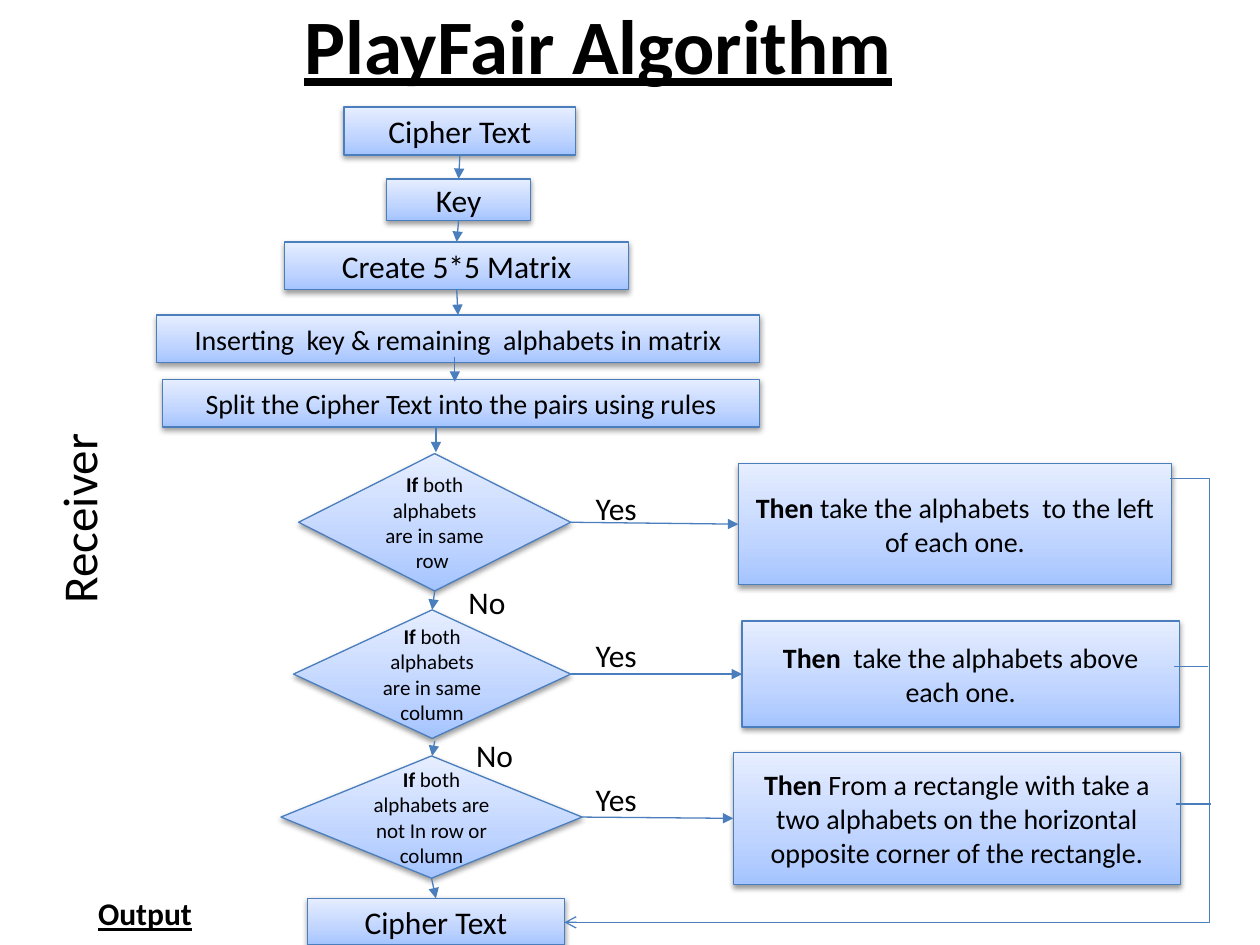
from lxml import etree
from pptx import Presentation
from pptx.dml.color import RGBColor
from pptx.enum.shapes import MSO_CONNECTOR, MSO_SHAPE
from pptx.enum.text import MSO_ANCHOR, MSO_AUTO_SIZE, PP_ALIGN
from pptx.oxml import parse_xml
from pptx.oxml.ns import nsdecls, qn
from pptx.util import Inches, Pt

RECT, DIAMOND = MSO_SHAPE.RECTANGLE, MSO_SHAPE.DIAMOND
STRAIGHT, ELBOW = MSO_CONNECTOR.STRAIGHT, MSO_CONNECTOR.ELBOW
CENTER, LEFT, MIDDLE, TOP = PP_ALIGN.CENTER, PP_ALIGN.LEFT, MSO_ANCHOR.MIDDLE, MSO_ANCHOR.TOP
FIT, NO_FIT = MSO_AUTO_SIZE.SHAPE_TO_FIT_TEXT, MSO_AUTO_SIZE.NONE
SITE_TOP, SITE_LEFT, SITE_BOTTOM, SITE_RIGHT = range(4)

COLORS = {"text": "000000", "line": "4B7EBC", "shadow": "000000",
          "deep": "A4C4FF", "mid": "BFD4FF", "pale": "E6EEFF"}
FONT = "Calibri"
CELL = 0.1  # the slide is a grid of 100 columns by 75 rows
COLUMNS, ROWS = 100, 75

# Steps: area (column, row, width, height), text, size
STEPS = [((27.3, 8.5, 18.4, 3.8), "Cipher Text", 18),
         ((30.7, 14.2, 11.4, 3.3), "Key", 18),
         ((22.6, 19.2, 27.3, 3.8), "Create 5*5 Matrix", 18),
         ((12.4, 25, 47.9, 3.8), "Inserting  key & remaining  alphabets in matrix", 16),
         ((12.9, 30.1, 47.4, 3.8), "Split the Cipher Text into the pairs using rules", 16)]
OUTPUT_STEP = ((24.4, 71.3, 20.4, 3.7), "Cipher Text", 18)

# Decisions: diamond area, question, action area, action, row of the "Yes" label
DECISIONS = [((23.7, 36, 21.6, 10.9), ("If", " both alphabets are in same row "),
              (58.6, 36.8, 34.4, 9.6),
              ("Then", " take the alphabets  to the left of each one."), 38.3),
             ((23.3, 48.4, 22, 10.2), ("If", " both alphabets are in same column"),
              (58.9, 49.3, 34.7, 8.4),
              ("Then", "  take the alphabets above each one."), 50),
             ((22.3, 60, 23.9, 9.7), ("If ", "both alphabets are not In row or column"),
              (58.2, 59.7, 35.5, 10.5),
              ("Then ", "From a rectangle with take a two alphabets on the "
                        "horizontal opposite corner of the rectangle."), 61.4)]

# Lines that are not attached to shapes
FREE_ARROWS = [((36.1, 28.3), (36.1, 30.3)), ((34.6, 33.9), (34.6, 35.9)),
               ((34.5, 58.8), (34.3, 60))]
RETURN_STUBS = [((93.2, 52.9), (95.9, 52.9)), ((93.3, 63.8), (96.1, 63.8))]
LABELS = [((36.2, 45.8, 5.4, 4), "No"), ((36.8, 57.9, 6.9, 4), "No")]


def grid(*cells):
    return [Inches(round(cell * CELL, 3)) for cell in cells]


def write(shape, runs, align=CENTER, anchor=MIDDLE, fit=NO_FIT):
    """Fill a shape with one paragraph of (text, format) runs."""
    frame = shape.text_frame
    for name, value in {"word_wrap": True, "auto_size": fit,
                        "vertical_anchor": anchor}.items():
        setattr(frame, name, value)
    para = frame.paragraphs[0]
    para.alignment = align
    for text, size, formats in runs:
        span = para.add_run()
        span.text = text
        span.font.color.rgb = RGBColor.from_string(COLORS["text"])
        for name, value in {"name": FONT, "size": Pt(size), **formats}.items():
            setattr(span.font, name, value)


def style_line(item):
    item.line.color.rgb = RGBColor.from_string(COLORS["line"])
    item.line.width = Pt(0.75)


def add_box(page, kind, area, runs):
    """Flow chart shape with gradient and soft shadow."""
    box = page.shapes.add_shape(kind, *grid(*area))
    style_line(box)
    stops = "".join(f'<a:gs pos="{share * 1000}"><a:srgbClr val="{COLORS[name]}"/></a:gs>'
                    for share, name in ((0, "deep"), (35, "mid"), (100, "pale")))
    box.element.spPr.find(qn("a:prstGeom")).addnext(parse_xml(
        f'<a:gradFill {nsdecls("a")} rotWithShape="1"><a:gsLst>{stops}</a:gsLst>'
        '<a:lin ang="16200000" scaled="0"/></a:gradFill>'))
    box.shadow.inherit = False
    box.element.spPr.find(qn("a:effectLst")).append(parse_xml(
        f'<a:outerShdw {nsdecls("a")} blurRad="{Pt(3.1)}" dist="{Pt(1.6)}" dir="5400000" '
        f'rotWithShape="0"><a:srgbClr val="{COLORS["shadow"]}"><a:alpha val="38000"/>'
        '</a:srgbClr></a:outerShdw>'))
    write(box, runs)
    return box


def add_label(page, area, text, size=18, **formats):
    box = page.shapes.add_textbox(*grid(*area))
    write(box, [(text, size, formats)], LEFT, TOP, FIT)
    return box


def add_line(page, start, end, head="triangle", kind=STRAIGHT):
    line = page.shapes.add_connector(kind, *grid(*start, *end))
    style_line(line)
    if head:
        etree.SubElement(line.line._get_or_add_ln(), qn("a:tailEnd"), type=head)
    etree.SubElement(line.element.spPr, qn("a:effectLst"))
    return line


def join(page, first, first_site, second, second_site):
    line = add_line(page, (0, 0), (1, 1))
    line.begin_connect(first, first_site)
    line.end_connect(second, second_site)


def add_return_path(page):
    """Lines that lead from the actions back to the output."""
    path_line = add_line(page, (92.9, 38), (44.8, 73.2), "arrow", ELBOW)
    guides = path_line.element.spPr.find(qn("a:prstGeom")).get_or_add_avLst()
    etree.SubElement(guides, qn("a:gd"), name="adj1", fmla="val -6500")
    for start, end in RETURN_STUBS:
        add_line(page, start, end, head=None)


def main():
    deck = Presentation()
    deck.slide_width, deck.slide_height = grid(COLUMNS, ROWS)
    page = deck.slides.add_slide(deck.slide_layouts[5])

    # Title
    title = page.shapes.title
    title.left, title.top, title.width, title.height = grid(2.5, -0.4, 90, 7.7)
    write(title, [("PlayFair Algorithm", 44, {"bold": True, "underline": True})])

    # Steps
    steps = [add_box(page, RECT, area, [(text, size, {})])
             for area, text, size in STEPS]
    for first, second in zip(steps[:3], steps[1:4]):
        join(page, first, SITE_BOTTOM, second, SITE_TOP)

    # Decisions and their actions
    diamonds = []
    for area, question, action_area, action, yes_row in DECISIONS:
        pair = [add_box(page, kind, place, [(lead, size, {"bold": True}),
                                            (rest, size, {"bold": False})])
                for kind, place, (lead, rest), size in (
                    (DIAMOND, area, question, 12), (RECT, action_area, action, 16))]
        diamonds.append(pair[0])
        join(page, pair[0], SITE_RIGHT, pair[1], SITE_LEFT)
        add_label(page, (46.3, yes_row, 6.3, 4), "Yes")

    # Output
    area, text, size = OUTPUT_STEP
    output = add_box(page, RECT, area, [(text, size, {})])
    join(page, diamonds[0], SITE_BOTTOM, diamonds[1], SITE_TOP)
    join(page, diamonds[2], SITE_BOTTOM, output, SITE_TOP)
    for start, end in FREE_ARROWS:
        add_line(page, start, end)

    # Labels
    for area, text in LABELS:
        add_label(page, area, text)
    add_label(page, (-4.1, 35.7, 20.6, 5.7), "Receiver", 28).rotation = 270
    add_label(page, (6.8, 70.5, 28.9, 4), "Output", bold=True, underline=True)

    add_return_path(page)
    deck.save("out.pptx")


main()
